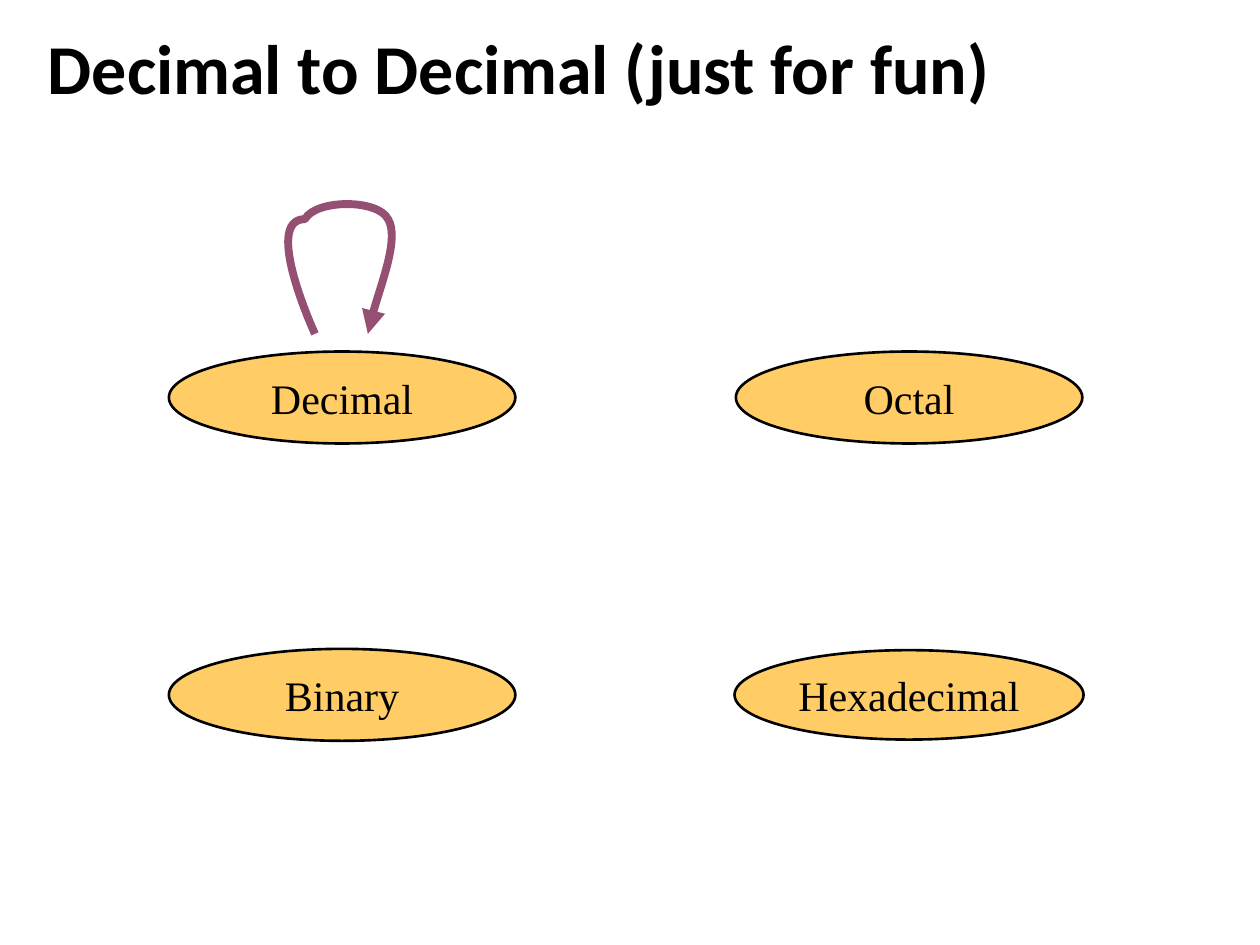
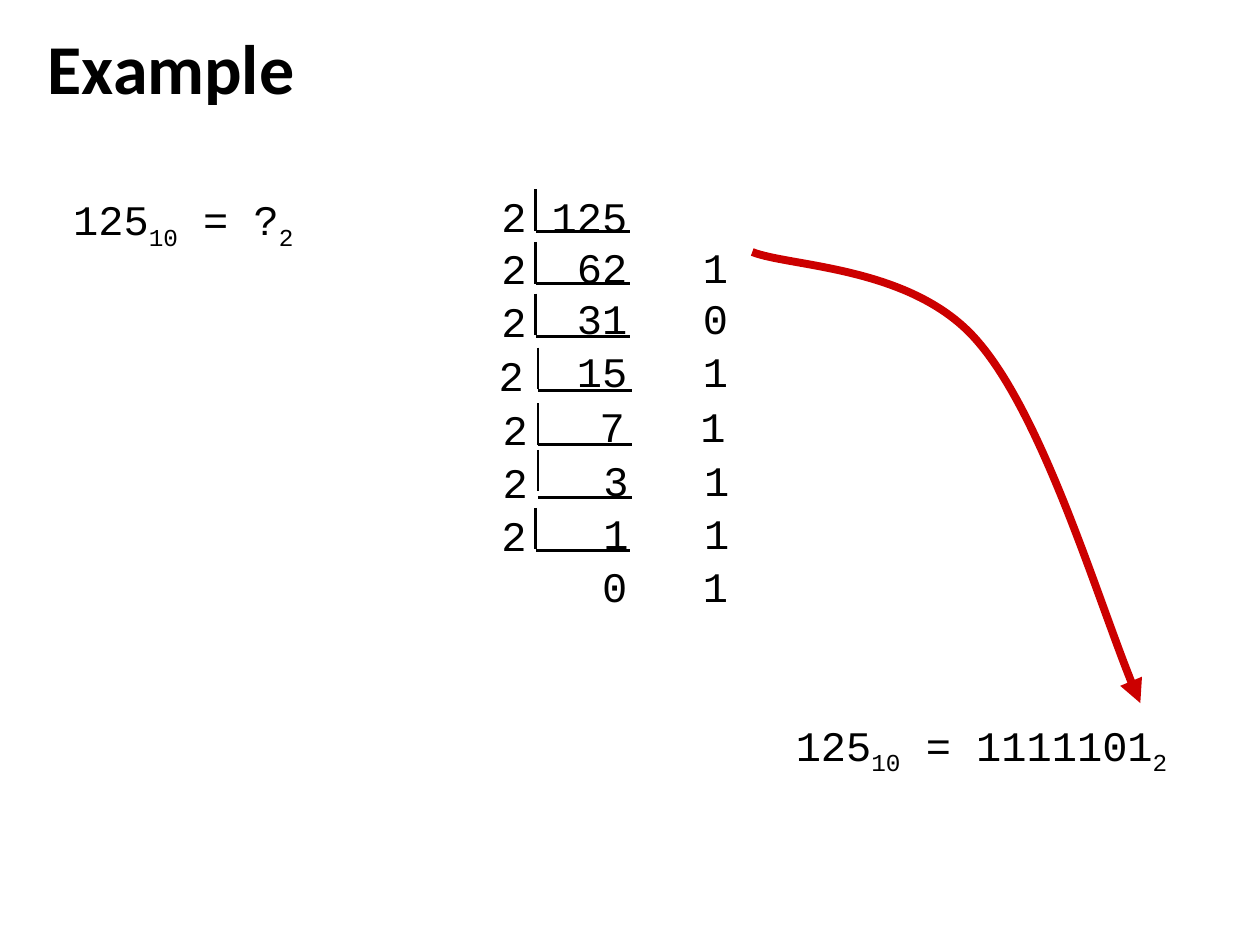
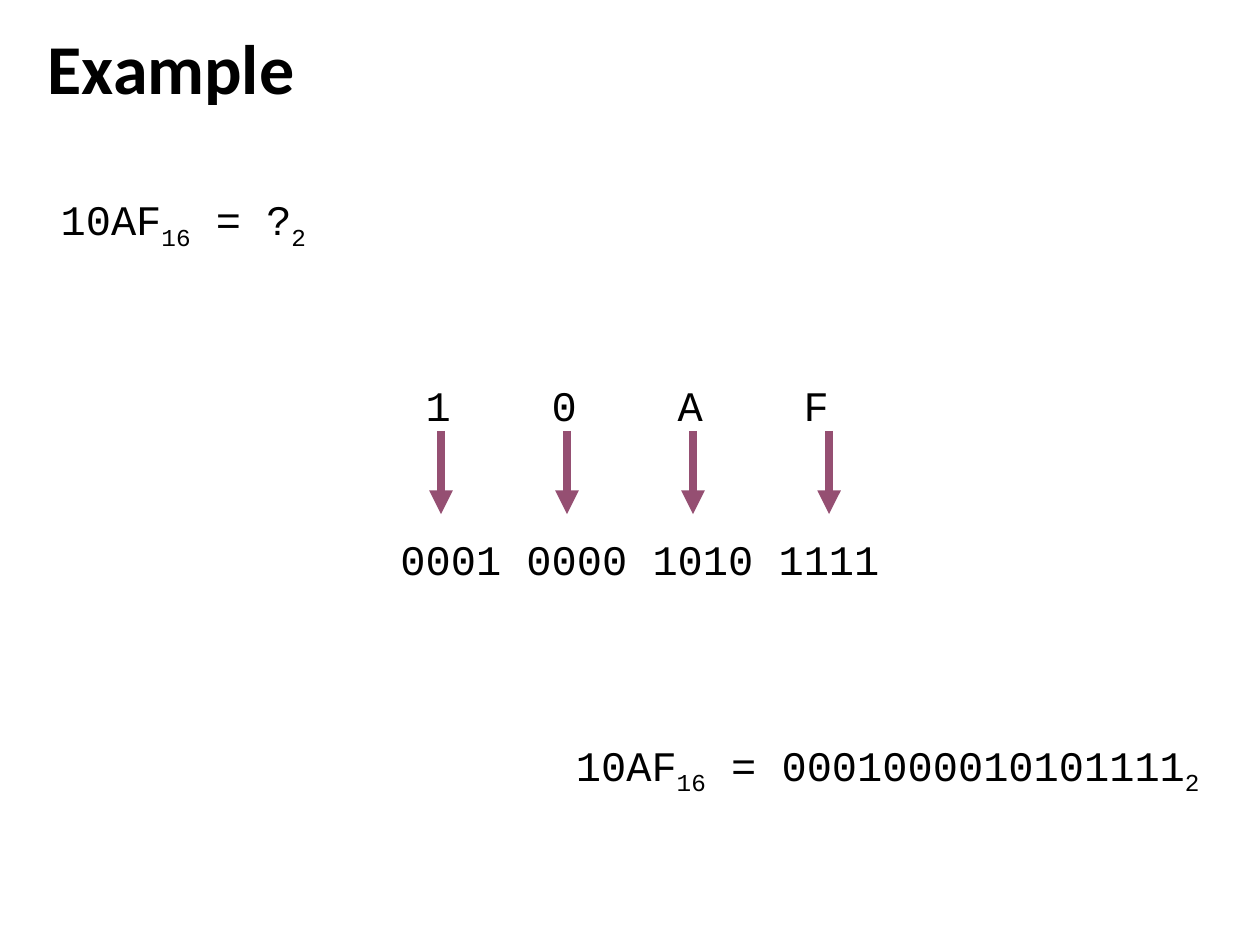
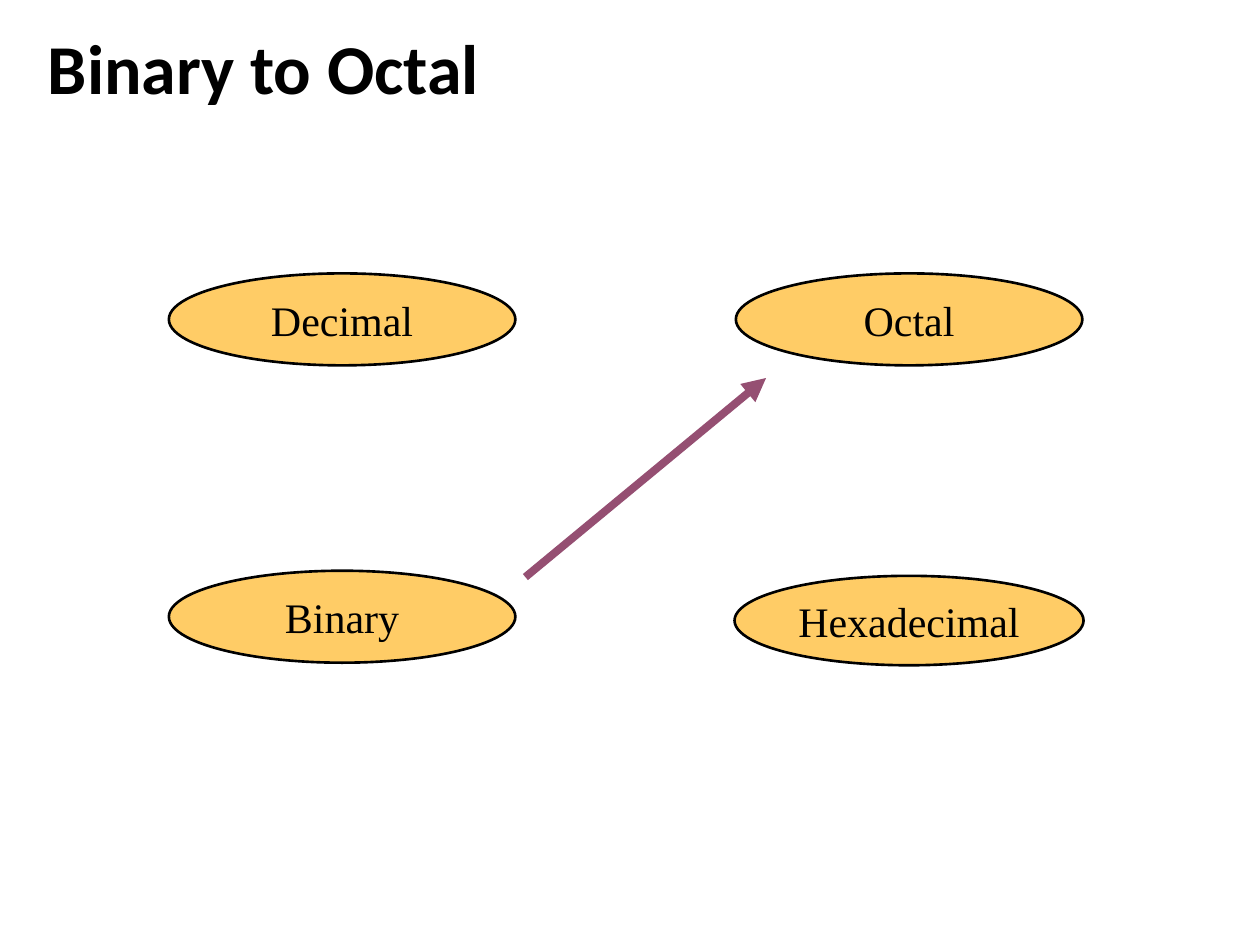
from lxml import etree
from pptx import Presentation
from pptx import util as u
from pptx.dml.color import RGBColor
from pptx.enum import shapes, text
from pptx.oxml import ns

# Theme: colours, strokes and type sizes
THEME = {
    "ink": RGBColor.from_string("000000"),
    "oval": RGBColor.from_string("FFCC66"),
    "plum": RGBColor.from_string("954F72"),
    "red": RGBColor.from_string("CC0000"),
    "thin": u.Pt(1.5),
    "thick": u.Pt(4.5),
    "title": {"name": "Calibri", "size": u.Pt(40), "bold": True},
    "label": {"name": "Times New Roman", "size": u.Pt(24)},
    "code": {"name": "Courier New", "size": u.Pt(24)},
    "spacing": {"title": 0.9, "label": 1.0, "code": u.Pt(29)},
}


def write(frame, lines, role, align=text.PP_ALIGN.LEFT, tabs=(), gap=0):
    """Fill a frame; underscores switch subscript on and off, tabs are (inches, side)."""
    for number, line in enumerate(lines):
        paragraph = frame.add_paragraph() if number else frame.paragraphs[0]
        layout = {"alignment": align, "line_spacing": THEME["spacing"][role],
                  "space_before": u.Pt(gap if number else 0)}
        for attribute, value in layout.items():
            setattr(paragraph, attribute, value)
        if tabs:
            stops = etree.SubElement(paragraph._p.get_or_add_pPr(), ns.qn("a:tabLst"))
            for position, side in tabs:
                etree.SubElement(stops, ns.qn("a:tab"), pos=str(u.Inches(position)), algn=side)
        for part, chunk in enumerate(line.split("_")):
            if not chunk:
                continue
            run = paragraph.add_run()
            run.text = chunk
            for attribute, value in THEME[role].items():
                setattr(run.font, attribute, value)
            run.font.color.rgb = THEME["ink"]
            if part % 2:
                run.font._element.set("baseline", "-25000")


def stroke(shape, color, width, arrow=False):
    """Give a shape a flat outline, with an arrowhead at its end if asked."""
    shape.line.color.rgb = THEME[color]
    shape.line.width = THEME[width]
    if arrow:
        etree.SubElement(shape.line._get_or_add_ln(), ns.qn("a:tailEnd"), type="triangle")
    properties = shape._element.spPr
    if properties.find(ns.qn("a:effectLst")) is None:
        etree.SubElement(properties, ns.qn("a:effectLst"))


deck = Presentation()
deck.slide_width, deck.slide_height = u.Inches(10), u.Inches(7.5)

# Slides and their titles
slides = []
for heading in ("Decimal to Decimal (just for fun)", "Example", "Example", "Binary to Octal"):
    slide = deck.slides.add_slide(deck.slide_layouts[5])
    title = slide.shapes.title
    place = {"left": 0.28, "top": 0, "width": 9.35, "height": 1.14}
    for attribute, value in place.items():
        setattr(title, attribute, u.Inches(value))
    title.text_frame.vertical_anchor = text.MSO_ANCHOR.MIDDLE
    write(title.text_frame, [heading], "title")
    slides.append(slide)
loop_slide, division_slide, hex_slide, octal_slide = slides

# Number systems on the first and last slides
for slide, upper, lower, hex_top in ((loop_slide, 2.79, 5.15, 5.16),
                                     (octal_slide, 2.17, 4.53, 4.57)):
    systems = (("Hexadecimal", 5.83, hex_top, 2.77, 0.71),
               ("Decimal", 1.34, upper, 2.75, 0.73),
               ("Octal", 5.84, upper, 2.75, 0.73),
               ("Binary", 1.34, lower, 2.75, 0.73))
    for system, *box in systems:
        oval = slide.shapes.add_shape(shapes.MSO_SHAPE.OVAL, *map(u.Inches, box))
        oval.shadow.inherit = False
        oval.fill.solid()
        oval.fill.fore_color.rgb = THEME["oval"]
        stroke(oval, "ink", "thin")
        oval.text_frame.word_wrap = False
        oval.text_frame.vertical_anchor = text.MSO_ANCHOR.MIDDLE
        write(oval.text_frame, [system], "label", text.PP_ALIGN.CENTER)

# Questions and answers
equations = (
    (division_slide, "125_10_ = ?_2", 0.33, 1.5, 2.25),
    (division_slide, "125_10_ = 1111101_2", 6, 5.67, 3.58),
    (hex_slide, "10AF_16_ = ?_2", 0.33, 1.5, 2.25),
    (hex_slide, "10AF_16_ = 0001000010101111_2", 4.42, 5.83, 5.25),
)
for slide, equation, left, top, width in equations:
    frame = slide.shapes.add_textbox(*map(u.Inches, (left, top, width, 0.56))).text_frame
    frame.word_wrap = True
    frame.margin_top = u.Inches(0.09)
    write(frame, [equation], "code", text.PP_ALIGN.CENTER)

# Repeated division by two: text left, text top, bracket left, stem top
steps = ((3.88, 1.42, 4.25, 1.5), (3.88, 1.83, 4.25, 1.92), (3.88, 2.25, 4.25, 2.33),
         (3.86, 2.68, 4.27, 2.76), (3.89, 3.11, 4.27, 3.2), (3.89, 3.53, 4.27, 3.57),
         (3.88, 3.95, 4.25, 4.03))
dividend = 125
for left, top, bracket, stem in steps:
    quotient, remainder = divmod(dividend, 2)
    first = f"2\t{dividend}" if dividend == 125 else "2"
    step = division_slide.shapes.add_group_shape().shapes
    frame = step.add_textbox(*map(u.Inches, (left, top, 2.25, 0.9))).text_frame
    frame.word_wrap = True
    frame.margin_top = u.Inches(0.09)
    write(frame, [first, f"\t{quotient}\t{remainder}"], "code", tabs=((1, "r"), (1.8, "r")))
    base = top + 0.42
    for ends in ((bracket, stem, bracket, stem + 0.33), (bracket, base, bracket + 0.75, base)):
        stroke(step.add_connector(shapes.MSO_CONNECTOR.STRAIGHT, *map(u.Inches, ends)),
               "ink", "thin")
    dividend = quotient

# Hexadecimal digits above their binary groups
digits = hex_slide.shapes.add_group_shape().shapes
frame = digits.add_textbox(*map(u.Inches, (3.08, 2.92, 4.17, 1.72))).text_frame
frame.word_wrap = True
frame.margin_top = u.Inches(0.09)
write(frame, ["\t1\t0\tA\tF", "0001 0000 1010 1111"], "code",
      tabs=[(0.2 + column, "l") for column in range(4)], gap=59)

# Straight arrows
arrows = [(digits, x, 3.42, x, 4.08) for x in (3.5, 4.5, 5.5, 6.58)]
arrows.append((octal_slide.shapes, 4.17, 4.58, 6.08, 3))
for owner, *ends in arrows:
    stroke(owner.add_connector(shapes.MSO_CONNECTOR.STRAIGHT, *map(u.Inches, ends)),
           "plum", "thick", arrow=True)

# Curved arrows: a start, then three Bézier points per segment
curves = (
    (loop_slide, "plum", [(2.5, 2.65), (2.5, 2.65), (2.08, 1.74), (2.42, 1.74), (2.51, 1.58),
                          (3, 1.58), (3.08, 1.74), (3.17, 1.89), (2.95, 2.46), (2.92, 2.65)]),
    (division_slide, "red", [(5.97, 2), (6.27, 2.12), (7.25, 2.11), (7.76, 2.71),
                             (8.28, 3.31), (8.78, 4.98), (9.05, 5.58)]),
)
for slide, color, points in curves:
    builder = slide.shapes.build_freeform(*points[0], scale=u.Inches(1))
    builder = slide.shapes.build_freeform(*map(u.Inches, points[0]))
    builder.add_line_segments([tuple(map(u.Inches, point)) for point in points[1:]], close=False)
    curve = builder.convert_to_shape()
    legs = list(curve._element.iter(ns.qn("a:lnTo")))
    for start in range(0, len(legs), 3):
        bend = etree.Element(ns.qn("a:cubicBezTo"))
        legs[start].addprevious(bend)
        for leg in legs[start:start + 3]:
            bend.append(leg[0])
            leg.getparent().remove(leg)
    curve.shadow.inherit = False
    curve.fill.background()
    stroke(curve, color, "thick", arrow=True)

deck.save("out.pptx")
